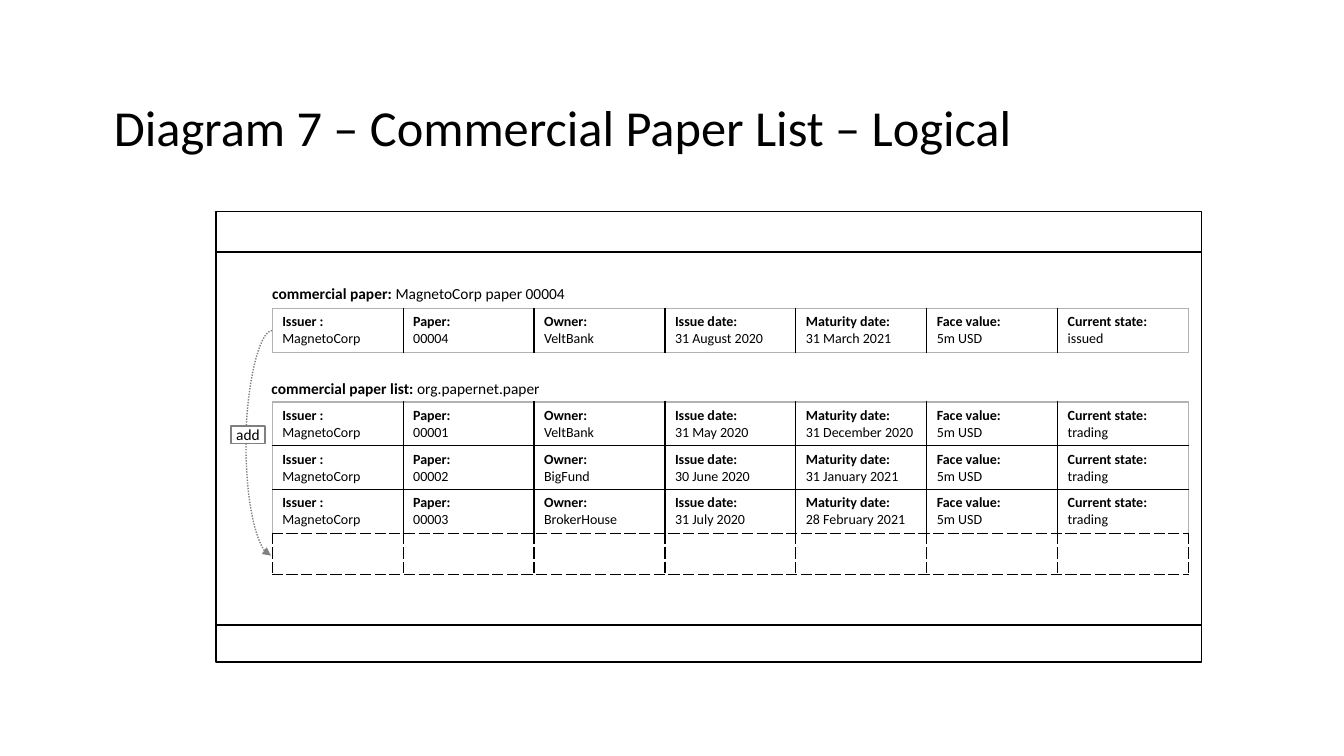
from lxml import etree
from pptx import Presentation
from pptx.dml.color import RGBColor
from pptx.enum.dml import MSO_LINE
from pptx.enum.shapes import MSO_CONNECTOR, MSO_SHAPE
from pptx.enum.text import MSO_ANCHOR, PP_ALIGN
from pptx.oxml.ns import qn
from pptx.util import Cm, Pt

BLACK = RGBColor(0x00, 0x00, 0x00)
WHITE = RGBColor(0xFF, 0xFF, 0xFF)
GRAY = RGBColor(0x80, 0x80, 0x80)
SILVER = RGBColor(0xB2, 0xB2, 0xB2)
RECT = MSO_SHAPE.RECTANGLE
CURVE = MSO_CONNECTOR.CURVE
DOTTED = MSO_LINE.ROUND_DOT
MIDDLE, TOP = MSO_ANCHOR.MIDDLE, MSO_ANCHOR.TOP
LEFT, CENTER = PP_ALIGN.LEFT, PP_ALIGN.CENTER
TITLE_ONLY = 5

FIELDS = ["Issuer : ", "Paper:", "Owner:", "Issue date:", "Maturity date:",
          "Face value:", "Current state:"]
NEW_PAPER = [
    ["MagnetoCorp", "00004", "VeltBank", "31 August 2020", "31 March 2021", "5m USD", "issued"],
]
PAPER_LIST = [
    ["MagnetoCorp", "00001", "VeltBank", "31 May 2020", "31 December 2020", "5m USD", "trading"],
    ["MagnetoCorp", "00002", "BigFund", "30 June 2020", "31 January 2021", "5m USD", "trading"],
    ["MagnetoCorp", "00003", "BrokerHouse", "31 July 2020", "28 February 2021", "5m USD", "trading"],
]
TABLE_X, COL_W, ROW_H = 6.86, 3.3, 1.04


class Diagram:
    """Holds the text style and the current slide."""

    def __init__(self, slide, font="Calibri"):
        """Keep the slide and the font name."""
        self.s = slide
        self.font = font

    def run(self, p, text, size, bold=False):
        """Add one styled run to a paragraph."""
        r = p.add_run()
        r.text = text
        r.font.name, r.font.size, r.font.bold = self.font, Pt(size), bold
        r.font.color.rgb = BLACK

    def frame(self, sp, anchor, align, wrap):
        """Set up a text frame and return its first paragraph."""
        tf = sp.text_frame
        tf.word_wrap, tf.vertical_anchor = wrap, anchor
        tf.margin_left = tf.margin_right = Cm(0.13)
        tf.margin_top = tf.margin_bottom = Cm(0.13)
        p = tf.paragraphs[0]
        p.alignment = align
        return p

    def title(self, text, x, y, w, h):
        """Place and fill the title placeholder."""
        sp = self.s.shapes.title
        sp.left, sp.top, sp.width, sp.height = Cm(x), Cm(y), Cm(w), Cm(h)
        p = self.frame(sp, MIDDLE, LEFT, True)
        p.line_spacing = 0.9
        self.run(p, text, 36)

    def label(self, name, value, x, y, w):
        """Add a caption with a bold name and a plain value."""
        sp = self.s.shapes.add_textbox(Cm(x), Cm(y), Cm(w), Cm(0.74))
        p = self.frame(sp, TOP, LEFT, False)
        self.run(p, name, 11, True)
        self.run(p, value, 11)

    def box(self, x, y, w, h, color=BLACK, fill=None, text=""):
        """Add an outlined rectangle, optionally filled and labelled."""
        sp = self.s.shapes.add_shape(RECT, Cm(x), Cm(y), Cm(w), Cm(h))
        sp.shadow.inherit = False
        sp.line.color.rgb, sp.line.width = color, Pt(1)
        if fill is None:
            sp.fill.background()
        else:
            sp.fill.solid()
            sp.fill.fore_color.rgb = fill
        if text:
            self.run(self.frame(sp, MIDDLE, CENTER, False), text, 11)

    def curve(self, x1, y1, x2, y2, bulge):
        """Add a dotted curved arrow that bulges to the left."""
        sp = self.s.shapes.add_connector(CURVE, Cm(x1), Cm(y1), Cm(x2), Cm(y2))
        sp.line.color.rgb, sp.line.width = GRAY, Pt(1)
        sp.line.dash_style = DOTTED
        etree.SubElement(sp.line._get_or_add_ln(), qn("a:tailEnd"), type="triangle")
        sp_pr = sp._element.spPr
        etree.SubElement(sp_pr, qn("a:effectLst"))
        guides = sp_pr.find(qn("a:prstGeom")).get_or_add_avLst()
        ratio = round(bulge / (x1 - x2) * 100000)
        etree.SubElement(guides, qn("a:gd"), name="adj1", fmla=f"val {ratio}")

    def border(self, cell, side, color, dash):
        """Draw one side (L, R, T or B) of a cell."""
        ln = etree.SubElement(cell._tc.get_or_add_tcPr(), qn(f"a:ln{side}"), w=str(Pt(1)))
        fill = etree.SubElement(ln, qn("a:solidFill"))
        etree.SubElement(fill, qn("a:srgbClr"), val=str(color))
        etree.SubElement(ln, qn("a:prstDash"), val=dash)

    def papers(self, rows, y, spare=0):
        """Add a table of papers, with dashed spare rows below."""
        n, cols = len(rows) + spare, len(FIELDS)
        gf = self.s.shapes.add_table(n, cols, Cm(TABLE_X), Cm(y),
                                     Cm(COL_W * cols), Cm(ROW_H * n))
        table = gf.table
        table.first_row = table.horz_banding = False
        for i in range(n):
            table.rows[i].height = Cm(ROW_H)
            for j, field in enumerate(FIELDS):
                cell = table.cell(i, j)
                empty = i >= len(rows)
                outer = {"L": j == 0, "R": j == cols - 1, "T": i == 0, "B": i == n - 1}
                for side, edge in outer.items():
                    dashed = empty or (side == "B" and i + 1 == len(rows) < n)
                    self.border(cell, side, SILVER if edge and not empty else BLACK,
                                "sysDash" if dashed else "solid")
                cell.fill.background()
                if not empty:
                    p = cell.text_frame.paragraphs[0]
                    self.run(p, field, 10, True)
                    if j:
                        p = cell.text_frame.add_paragraph()
                    self.run(p, rows[i][j], 10)


prs = Presentation()
prs.slide_width, prs.slide_height = Cm(33.87), Cm(19.05)
d = Diagram(prs.slides.add_slide(prs.slide_layouts[TITLE_ONLY]))

d.title("Diagram 7 – Commercial Paper List – Logical", 2.74, 1.45, 29.21, 3.68)
d.box(5.44, 5.33, 24.84, 11.35)
d.label("commercial paper: ", "MagnetoCorp paper 00004", 6.73, 7.04, 7.7)
d.curve(TABLE_X, 8.33, TABLE_X - 0.03, 14, 0.66)
d.papers(NEW_PAPER, 7.77)
d.papers(PAPER_LIST, 10.13, spare=1)
d.label("commercial paper list: ", "org.papernet.paper", 6.71, 9.42, 7.14)
d.box(5.82, 10.74, 0.86, 0.43, GRAY, WHITE, "add")
d.box(5.44, 6.35, 24.84, 9.4)

prs.save("out.pptx")
